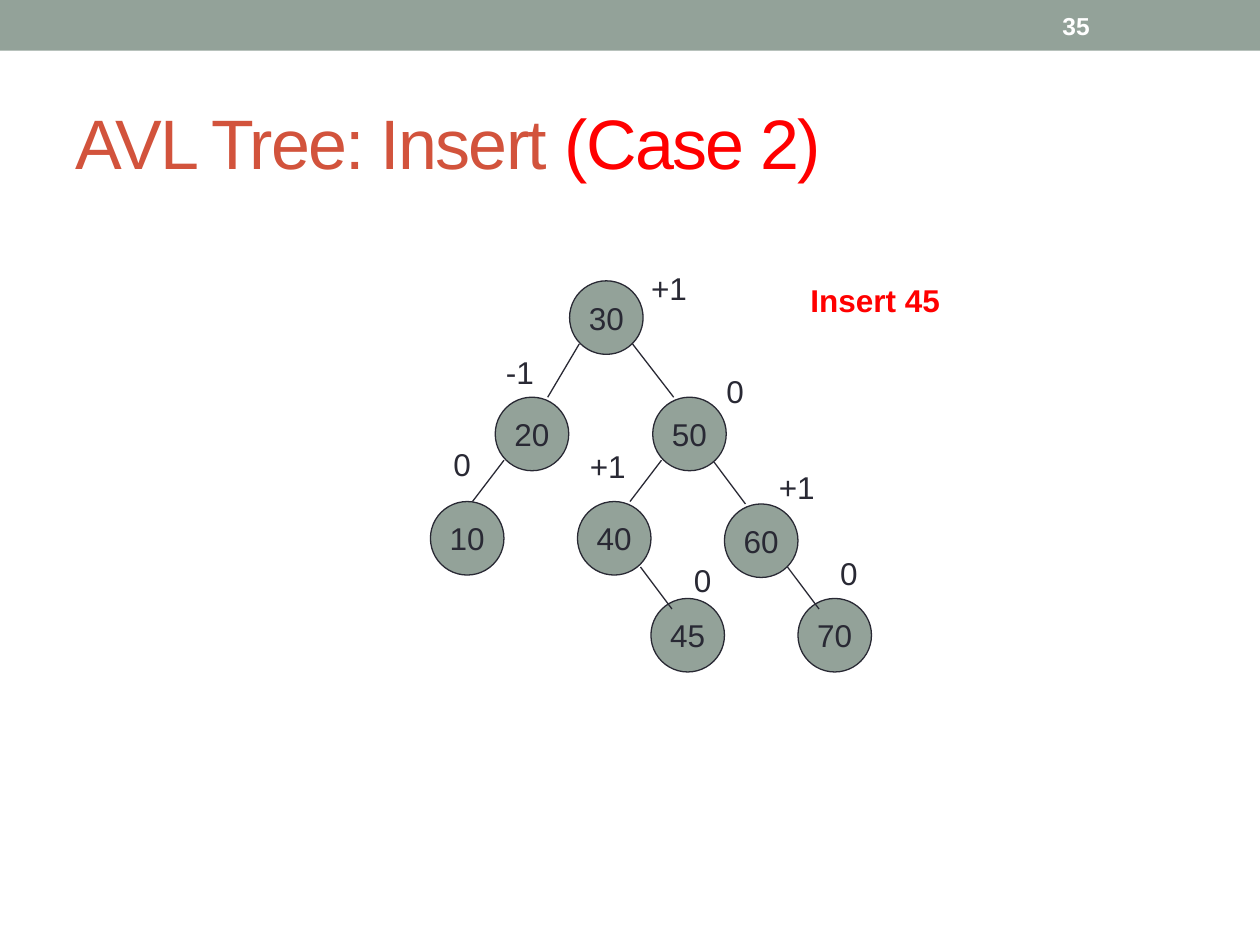
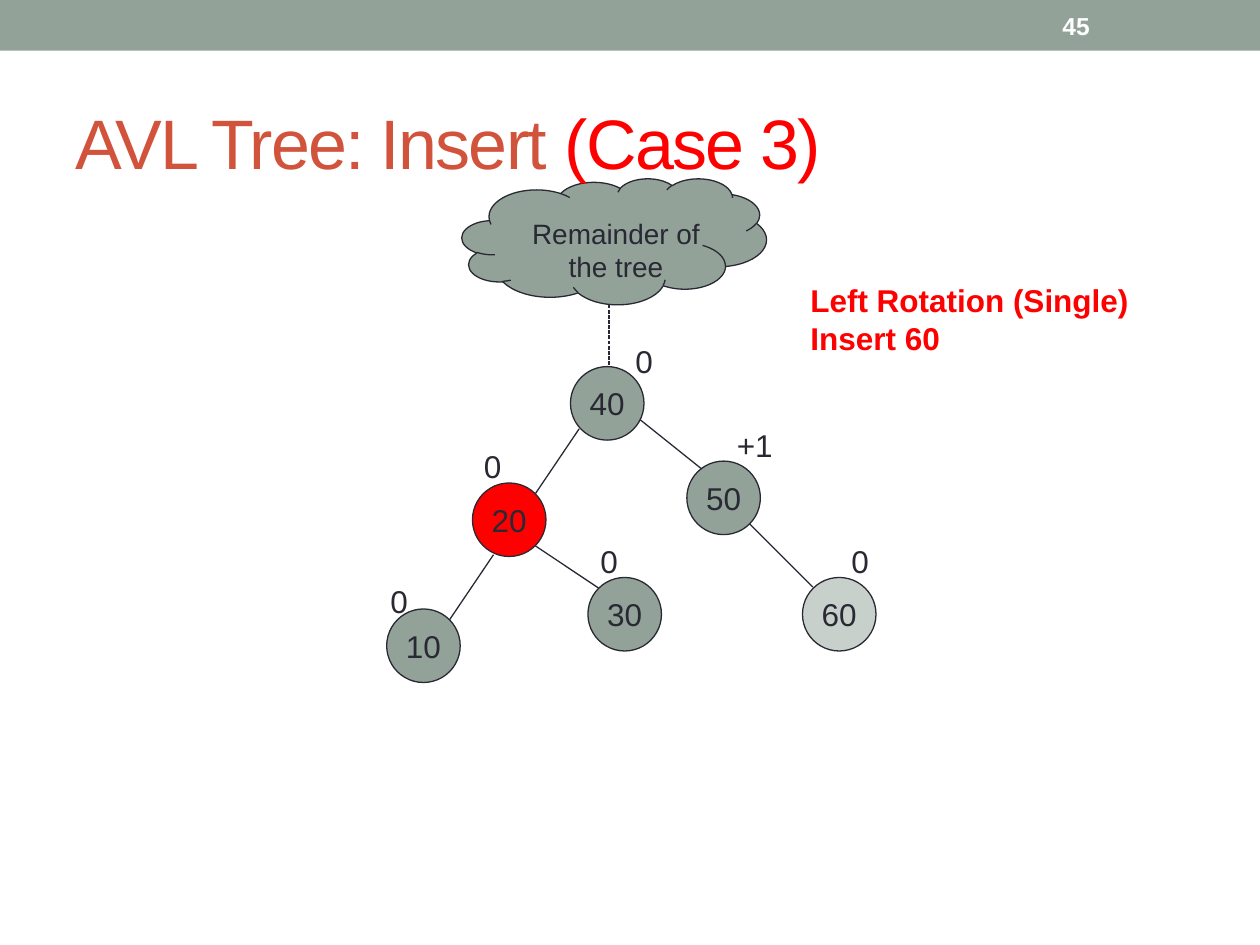
from lxml.etree import SubElement
from pptx import Presentation
from pptx.dml.color import RGBColor
from pptx.enum.dml import MSO_LINE
from pptx.enum.shapes import MSO_CONNECTOR, MSO_SHAPE
from pptx.enum.text import MSO_ANCHOR, MSO_AUTO_SIZE, PP_ALIGN
from pptx.oxml.ns import qn
from pptx.util import Pt

SAGE, INK, RUST, RED, WHITE = "93A299", "292934", "D2533C", "FF0000", "FFFFFF"
FONT = "Arial"
NODE_SIZE = 42
BALANCE_WIDTHS = {"0": 24.5, "-1": 31, "+1": 36}

CASE_2 = {
    "nodes": {
        "30": (79.5, 10.5), "20": (37, 77), "50": (127, 77), "10": (0, 136.6),
        "40": (84, 136.6), "60": (168, 138), "45": (126, 192), "70": (210, 192),
    },
    "edges": [
        (85, 46.6, 67, 77), (115.5, 46.6, 139, 77), (42, 113, 24, 136.6),
        (132, 113, 114, 136.6), (162, 114, 180, 138), (120, 174, 138, 198),
        (204, 174, 222, 198),
    ],
    "balances": [
        ("+1", 119, 0), ("-1", 36, 48), ("0", 162, 59), ("0", 6, 100.6),
        ("+1", 84, 102), ("+1", 192, 114), ("0", 143.5, 167), ("0", 227, 163),
    ],
}
CASE_3 = {
    "nodes": {
        "40": (110, 17.5), "20": (54, 84), "50": (176.5, 71.5),
        "10": (5, 156), "30": (120, 138), "60": (242.6, 138),
    },
    "edges": [
        (115, 53, 90, 90), (150, 48, 185, 76), (66, 125, 41, 162),
        (90, 120, 126, 144), (212.5, 107.5, 248.5, 143.5),
    ],
    "balances": [
        ("0", 140, 0), ("0", 53.5, 60), ("+1", 198, 48),
        ("0", 0, 137), ("0", 120, 114), ("0", 263.5, 114),
    ],
}


def colour(hex_code):
    """Turn a hex string into a colour."""
    return RGBColor.from_string(hex_code)


def style(font, size, hex_code, bold=False):
    """Set face, size, colour and weight of a font."""
    font.name, font.size, font.bold = FONT, Pt(size), bold
    font.color.rgb = colour(hex_code)


def add_filled(slide, preset, box, fill, outline=INK):
    """Add a flat preset shape, outlined unless outline is None."""
    shape = slide.shapes.add_shape(preset, *map(Pt, box))
    shape.shadow.inherit = False
    shape.fill.solid()
    shape.fill.fore_color.rgb = colour(fill)
    if outline:
        shape.line.color.rgb = colour(outline)
        shape.line.width = Pt(0.75)
    else:
        shape.line.fill.background()
    return shape


def add_text(slide, box, lines, size, hex_code, bold=False, wrap=False, align=PP_ALIGN.LEFT):
    """Add a text box with one paragraph per line."""
    frame = slide.shapes.add_textbox(*map(Pt, box)).text_frame
    frame.word_wrap = wrap
    frame.text = "\n".join(lines)
    for paragraph in frame.paragraphs:
        paragraph.alignment = align
        style(paragraph.font, size, hex_code, bold)
    return frame


def add_edge(slide, start_x, start_y, end_x, end_y):
    """Add a thin straight line between two points."""
    edge = slide.shapes.add_connector(
        MSO_CONNECTOR.STRAIGHT, Pt(start_x), Pt(start_y), Pt(end_x), Pt(end_y))
    edge.line.color.rgb = colour(INK)
    edge.line.width = Pt(0.75)
    SubElement(edge._element.spPr, qn("a:effectLst"))
    return edge


def add_header(slide, case, number):
    """Add the top band, the slide number and the two-colour title."""
    add_filled(slide, MSO_SHAPE.RECTANGLE, (0, 0, 720, 29), SAGE, None)
    page = add_text(slide, (600, 1.5, 84, 26), [number], 14, WHITE, True, True)
    page.vertical_anchor = MSO_ANCHOR.MIDDLE

    title = slide.shapes.title
    title.left, title.top, title.width, title.height = map(Pt, (36, 42, 648, 78))
    slide.shapes._spTree.append(title._element)
    frame = title.text_frame
    frame.auto_size = MSO_AUTO_SIZE.NONE
    frame.vertical_anchor = MSO_ANCHOR.MIDDLE
    heading = frame.paragraphs[0]
    heading.alignment = PP_ALIGN.LEFT
    for words, hex_code in (("AVL Tree: Insert ", RUST), (f"({case})", RED)):
        run = heading.add_run()
        run.text = words
        style(run.font, 40, hex_code)
        run._r.get_or_add_rPr().set("spc", "-100")


def add_node(slide, key, left, top, fill, opacity):
    """Add a round tree node showing its key."""
    node = add_filled(slide, MSO_SHAPE.OVAL, (left, top, NODE_SIZE, NODE_SIZE), fill)
    if opacity < 100:
        solid = node._element.spPr.find(qn("a:solidFill"))
        SubElement(solid[0], qn("a:alpha")).set("val", str(opacity * 1000))
    frame = node.text_frame
    frame.word_wrap = False
    frame.vertical_anchor = MSO_ANCHOR.MIDDLE
    frame.text = key
    frame.paragraphs[0].alignment = PP_ALIGN.CENTER
    style(frame.paragraphs[0].font, 18, INK)


def add_tree(slide, left, top, tree, fills={}, opacities={}):
    """Draw nodes, edges and balance factors relative to the tree's corner."""
    for key, (x, y) in tree["nodes"].items():
        add_node(slide, key, left + x, top + y, fills.get(key, SAGE), opacities.get(key, 100))
    for x1, y1, x2, y2 in tree["edges"]:
        add_edge(slide, left + x1, top + y1, left + x2, top + y2)
    for balance, x, y in tree["balances"]:
        box = (left + x, top + y, BALANCE_WIDTHS[balance], 29)
        add_text(slide, box, [balance], 18, INK)


def add_remainder(slide, left, top):
    """Draw the cloud that stands for the rest of the tree."""
    add_filled(slide, MSO_SHAPE.CLOUD, (left, top, 174, 72), SAGE)
    add_text(slide, (left + 26, top + 18, 124, 46), ["Remainder of", "the tree"],
             16, INK, wrap=True, align=PP_ALIGN.CENTER)
    link = add_edge(slide, left + 84, top + 72, left + 84, top + 114)
    link.line.dash_style = MSO_LINE.SQUARE_DOT


def add_operation(slide, lines, width):
    """Add the red note that names the operation."""
    add_text(slide, (456, 157, width, 7 + 22 * len(lines)), lines, 18, RED, True)


def main():
    """Build both slides and save them."""
    deck = Presentation()
    deck.slide_width, deck.slide_height = Pt(720), Pt(540)
    title_only = deck.slide_layouts[5]

    case_2 = deck.slides.add_slide(title_only)
    add_header(case_2, "Case 2", "35")
    add_operation(case_2, ["Insert 45"], 94)
    add_tree(case_2, 246, 150, CASE_2)

    case_3 = deck.slides.add_slide(title_only)
    add_remainder(case_3, 264, 102)
    add_header(case_3, "Case 3", "45")
    add_operation(case_3, ["Left Rotation (Single)", "Insert 60"], 199)
    add_tree(case_3, 216, 192, CASE_3, {"20": RED}, {"60": 50})

    deck.save("out.pptx")


if __name__ == "__main__":
    main()
